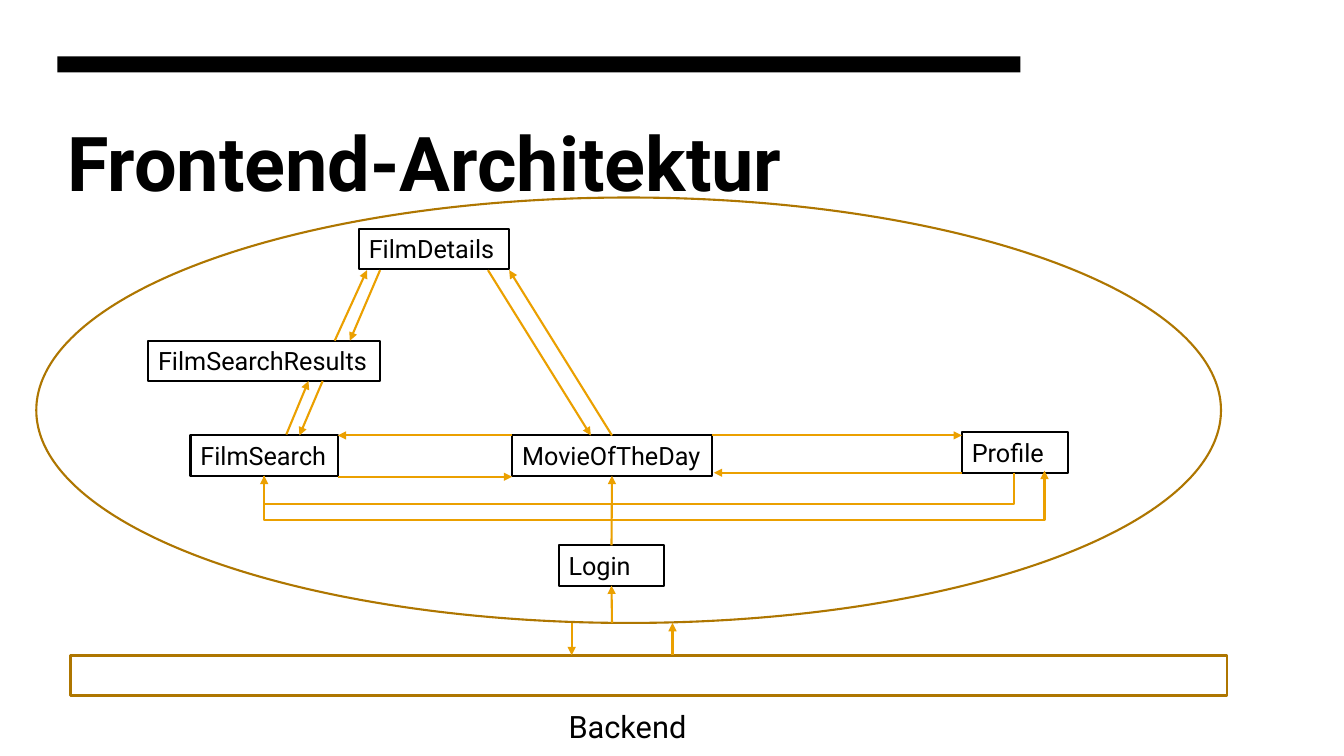
from lxml import etree
from pptx import Presentation
from pptx.dml.color import RGBColor
from pptx.enum.shapes import MSO_CONNECTOR, MSO_SHAPE
from pptx.enum.text import MSO_ANCHOR, PP_ALIGN
from pptx.oxml.ns import qn
from pptx.util import Inches, Pt

RECT, OVAL = MSO_SHAPE.RECTANGLE, MSO_SHAPE.OVAL
STRAIGHT, ELBOW = MSO_CONNECTOR.STRAIGHT, MSO_CONNECTOR.ELBOW
TOP, LEFT = MSO_ANCHOR.TOP, PP_ALIGN.LEFT
FONT = "Roboto"
BLACK, BROWN, AMBER = "000000", "AE7600", "EBA000"
BOX_H = 0.4
TOP_SIDE, BOTTOM_SIDE = 0, 2

PAGES = [  # name, left, top, width
    ("Login", 5.54, 5.41, 1.05),
    ("MovieOfTheDay", 5.08, 4.32, 1.98),
    ("FilmSearch", 1.89, 4.32, 1.46),
    ("Profile", 9.54, 4.29, 1.05),
    ("FilmDetails", 3.56, 2.27, 1.49),
    ("FilmSearchResults", 1.47, 3.38, 2.3),
]

FREE_ARROWS = [  # x1, y1, x2, y2
    (5.67, 6.18, 5.67, 6.5),
    (6.67, 6.5, 6.67, 6.18),
    (7.06, 4.32, 9.54, 4.32),
    (9.54, 4.69, 7.08, 4.69),
    (3.35, 4.73, 5.08, 4.73),
    (5.08, 4.32, 3.35, 4.32),
    (4.84, 2.68, 5.86, 4.32),
    (3.32, 3.38, 3.64, 2.68),
    (3.77, 2.68, 3.47, 3.38),
    (2.84, 4.31, 3.06, 3.78),
    (3.2, 3.78, 2.97, 4.32),
]


def rgb(color):
    return RGBColor.from_string(color)


def add_text(s, text, size, bold=False):
    tf = s.text_frame
    tf.word_wrap = True
    tf.vertical_anchor = TOP
    tf.margin_right = 0
    p = tf.paragraphs[0]
    p.alignment = LEFT
    r = p.add_run()
    r.text = text
    r.font.name, r.font.size, r.font.bold = FONT, Pt(size), bold
    r.font.color.rgb = rgb(BLACK)


def add_label(slide, text, left, top, width, height, size, bold=False):
    box = [Inches(v) for v in (left, top, width, height)]
    add_text(slide.shapes.add_textbox(*box), text, size, bold)


def add_shape(slide, kind, left, top, width, height, fill=None, line=None, weight=1.5):
    box = [Inches(v) for v in (left, top, width, height)]
    s = slide.shapes.add_shape(kind, *box)
    s.shadow.inherit = False
    if fill:
        s.fill.solid()
        s.fill.fore_color.rgb = rgb(fill)
    else:
        s.fill.background()
    if line:
        s.line.color.rgb = rgb(line)
        s.line.width = Pt(weight)
    else:
        s.line.fill.background()
    return s


def add_arrow(slide, x1, y1, x2, y2, kind=STRAIGHT):
    c = slide.shapes.add_connector(kind, *[Inches(v) for v in (x1, y1, x2, y2)])
    c.line.color.rgb = rgb(AMBER)
    c.line.width = Pt(1.5)
    ln = c.line._get_or_add_ln()
    etree.SubElement(ln, qn("a:tailEnd"), type="triangle")
    etree.SubElement(c._element.spPr, qn("a:effectLst"))
    return c


def add_u_arrow(slide, x1, y1, x2, y2, bend_y):
    """Arrow that drops to bend_y, runs across and rises: an elbow turned by 90 degrees."""
    cx, cy = (x1 + x2) / 2, (y1 + y2) / 2
    dx, dy = (y2 - y1) / 2, (x1 - x2) / 2
    c = add_arrow(slide, cx - dx, cy - dy, cx + dx, cy + dy, ELBOW)
    spPr = c._element.spPr
    spPr.find(qn("a:xfrm")).set("rot", "5400000")
    guides = spPr.find(qn("a:prstGeom")).get_or_add_avLst()
    bend = round((bend_y - y1) / (y2 - y1) * 100000)
    etree.SubElement(guides, qn("a:gd"), name="adj1", fmla=f"val {bend}")


def main():
    prs = Presentation()
    prs.slide_width, prs.slide_height = Inches(13.33), Inches(7.5)
    slide = prs.slides.add_slide(prs.slide_layouts[6])

    add_label(slide, "Frontend-Architektur", 0.57, 1.1, 9.5, 1, 54, bold=True)
    add_shape(slide, RECT, 0.57, 0.56, 9.55, 0.16, fill=BLACK)
    add_shape(slide, RECT, 0.7, 6.5, 11.47, BOX_H, line=BROWN, weight=2)
    add_label(slide, "Backend", 5.54, 6.97, 1.38, 0.47, 22)

    pages = {}
    for name, left, top, width in PAGES:
        pages[name] = add_shape(slide, RECT, left, top, width, BOX_H, line=BLACK)
        add_text(pages[name], name, 18)
    add_shape(slide, OVAL, 0.36, 1.96, 11.75, 4.22, line=BROWN)

    for ends in FREE_ARROWS:
        add_arrow(slide, *ends)
    login, movie = pages["Login"], pages["MovieOfTheDay"]
    add_arrow(slide, 6.07, 6.18, 6.07, 5.82).end_connect(login, BOTTOM_SIDE)
    c = add_arrow(slide, 6.07, 5.41, 6.07, 4.73)
    c.begin_connect(login, TOP_SIDE)
    c.end_connect(movie, BOTTOM_SIDE)
    add_arrow(slide, 6.07, 4.32, 5.05, 2.68).begin_connect(movie, TOP_SIDE)

    add_u_arrow(slide, 10.06, 4.69, 2.62, 4.72, 5)
    add_u_arrow(slide, 2.62, 4.72, 10.36, 4.67, 5.16)

    prs.save("out.pptx")


if __name__ == "__main__":
    main()
